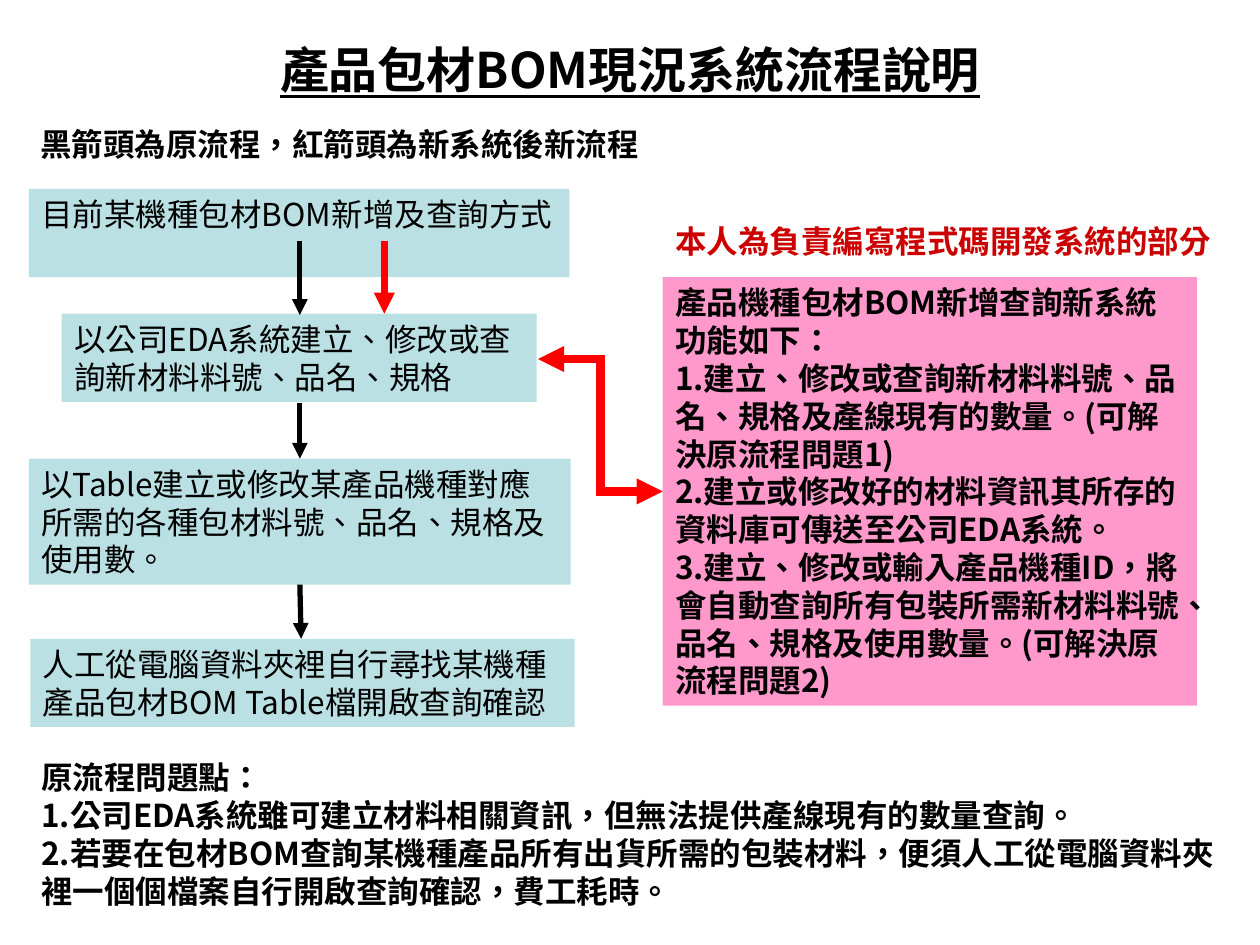
from dataclasses import dataclass
from typing import Optional

from lxml.etree import SubElement
from pptx import Presentation
from pptx.dml.color import RGBColor
from pptx.enum.lang import MSO_LANGUAGE_ID as Lang
from pptx.enum.shapes import MSO_CONNECTOR as Connector, MSO_SHAPE as Shape
from pptx.enum.text import MSO_ANCHOR as Anchor, PP_ALIGN as Align
from pptx.oxml.ns import qn
from pptx.util import Inches, Pt


@dataclass(frozen=True)
class Theme:
    black: str = "000000"
    red: str = "FF0000"
    dark_red: str = "CC0000"
    step_fill: str = "BBE0E3"
    system_fill: str = "FF99CC"
    cjk_font: str = "Noto Sans CJK SC"
    note_font: str = "Arial"
    title_size: int = 28
    body_size: int = 18


THEME = Theme()


@dataclass(frozen=True)
class Block:
    left: float
    top: float
    width: float
    height: float
    lines: tuple[str, ...]
    fill: Optional[str] = None
    color: str = THEME.black
    font: str = THEME.cjk_font
    size: int = THEME.body_size
    bold: bool = True
    title: bool = False


@dataclass(frozen=True)
class Arrow:
    start: tuple[float, float]
    end: tuple[float, float]
    color: str = THEME.black
    weight: float = 3
    kind: Connector = Connector.STRAIGHT
    two_way: bool = False


def step(left: float, top: float, width: float, height: float, text: str) -> Block:
    return Block(left, top, width, height, (text,), THEME.step_fill, bold=False)


BLOCKS = (
    Block(0.5, 0.21, 9, 0.68, ("產品包材BOM現況系統流程說明",),
          size=THEME.title_size, title=True),
    Block(0.22, 0.94, 5.04, 0.4, ("黑箭頭為原流程，紅箭頭為新系統後新流程",),
          font=THEME.note_font),
    step(0.23, 1.5, 4.29, 0.7, "目前某機種包材BOM新增及查詢方式"),
    step(0.49, 2.49, 3.77, 0.7, "以公司EDA系統建立、修改或查詢新材料料號、品名、規格"),
    step(0.23, 3.64, 4.3, 1,
         "以Table建立或修改某產品機種對應所需的各種包材料號、品名、規格及使用數。"),
    step(0.24, 5.07, 4.32, 0.7,
         "人工從電腦資料夾裡自行尋找某機種產品包材BOM Table檔開啟查詢確認"),
    Block(5.26, 1.71, 4.53, 0.4, ("本人為負責編寫程式碼開發系統的部分",),
          color=THEME.dark_red, font=THEME.note_font),
    Block(5.26, 2.2, 4.24, 3.4, (
        "產品機種包材BOM新增查詢新系統",
        "功能如下：",
        "1.建立、修改或查詢新材料料號、品名、規格及產線現有的數量。(可解決原流程問題1)",
        "2.建立或修改好的材料資訊其所存的資料庫可傳送至公司EDA系統。",
        "3.建立、修改或輸入產品機種ID，將會自動查詢所有包裝所需新材料料號、品名、規格及使用數量。"
        "(可解決原流程問題2)",
    ), THEME.system_fill),
    Block(0.23, 5.97, 9.56, 1.3, (
        "原流程問題點：",
        "1.公司EDA系統雖可建立材料相關資訊，但無法提供產線現有的數量查詢。",
        "2.若要在包材BOM查詢某機種產品所有出貨所需的包裝材料，便須人工從電腦資料夾裡"
        "一個個檔案自行開啟查詢確認，費工耗時。",
    )),
)

ARROWS = (
    Arrow((2.38, 1.91), (2.38, 2.5)),
    Arrow((2.38, 3.2), (2.38, 3.64)),
    Arrow((2.38, 4.64), (2.39, 5.07)),
    Arrow((3.05, 1.91), (3.05, 2.49), THEME.red, 4),
    Arrow((4.27, 2.85), (5.26, 3.9), THEME.red, 5, Connector.ELBOW, two_way=True),
)


def draw_block(slide, block: Block) -> None:
    bounds = [Inches(v) for v in (block.left, block.top, block.width, block.height)]
    if block.fill:
        panel = slide.shapes.add_shape(Shape.RECTANGLE, *bounds)
        panel.shadow.inherit = False
        panel.fill.solid()
        panel.fill.fore_color.rgb = RGBColor.from_string(block.fill)
        panel.line.fill.background()
    else:
        panel = slide.shapes.add_textbox(*bounds)

    frame = panel.text_frame
    frame.word_wrap = True
    frame.vertical_anchor = Anchor.MIDDLE if block.title else Anchor.TOP
    frame.text = "\n".join(block.lines)
    for paragraph in frame.paragraphs:
        paragraph.alignment = Align.CENTER if block.title else Align.LEFT
        font = paragraph.font
        font.size = Pt(block.size)
        font.bold = block.bold
        font.underline = block.title
        font.color.rgb = RGBColor.from_string(block.color)
        font.language_id = Lang.TRADITIONAL_CHINESE
        font.name = block.font
        properties = paragraph._p.pPr.find(qn("a:defRPr"))
        SubElement(properties, qn("a:ea"), typeface=THEME.cjk_font)


def draw_arrow(slide, arrow: Arrow) -> None:
    ends = [Inches(v) for v in (*arrow.start, *arrow.end)]
    connector = slide.shapes.add_connector(arrow.kind, *ends)
    connector.line.color.rgb = RGBColor.from_string(arrow.color)
    connector.line.width = Pt(arrow.weight)
    outline = connector.line._get_or_add_ln()
    SubElement(outline, qn("a:miter"), lim="800000")
    if arrow.two_way:
        SubElement(outline, qn("a:headEnd"), type="triangle")
    SubElement(outline, qn("a:tailEnd"), type="triangle")
    SubElement(connector._element.spPr, qn("a:effectLst"))


def main() -> None:
    deck = Presentation()
    deck.slide_width, deck.slide_height = Inches(10), Inches(7.5)
    slide = deck.slides.add_slide(deck.slide_layouts[6])
    for block in BLOCKS:
        draw_block(slide, block)
    for arrow in ARROWS:
        draw_arrow(slide, arrow)
    deck.save("out.pptx")


if __name__ == "__main__":
    main()
